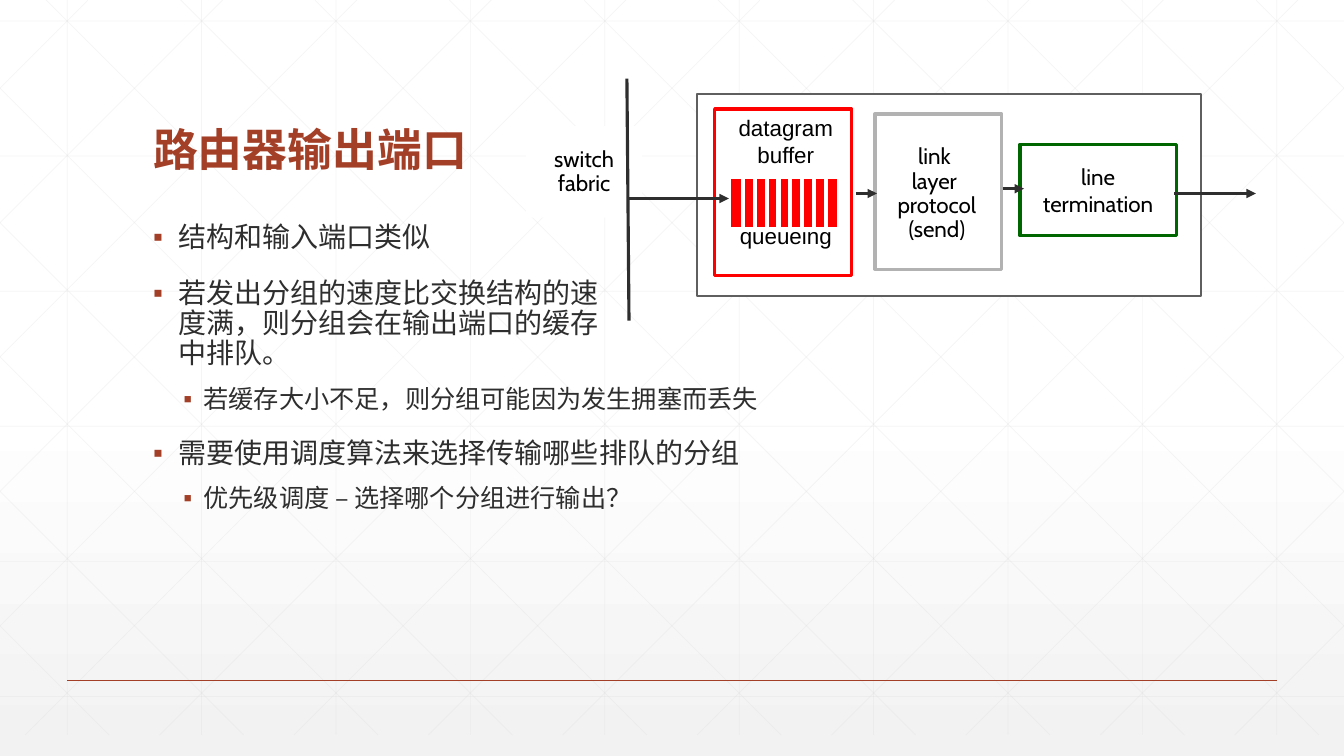
"""Build the slide about router output ports with its block diagram."""
from lxml import etree
from pptx import Presentation
from pptx.dml.color import RGBColor
from pptx.enum.shapes import MSO_CONNECTOR, MSO_SHAPE
from pptx.enum.text import MSO_ANCHOR, MSO_AUTO_SIZE, PP_ALIGN
from pptx.oxml.ns import qn
from pptx.util import Pt

STRAIGHT = MSO_CONNECTOR.STRAIGHT
RECTANGLE = MSO_SHAPE.RECTANGLE
TOP, MIDDLE, BOTTOM = MSO_ANCHOR.TOP, MSO_ANCHOR.MIDDLE, MSO_ANCHOR.BOTTOM
NO_AUTOFIT = MSO_AUTO_SIZE.NONE
CENTER, LEFT = PP_ALIGN.CENTER, PP_ALIGN.LEFT
WIDTH, HEIGHT, GRID_BOTTOM = 960, 540, 525
RUST, INK, GRID, WHITE, RED = "A43F27", "2D2E2D", "D9D9D9", "FFFFFF", "FF0000"
CJK_FONT = "Noto Sans CJK SC"
color = RGBColor.from_string

presentation = Presentation()
presentation.slide_width, presentation.slide_height = Pt(WIDTH), Pt(HEIGHT)
slide = presentation.slides.add_slide(presentation.slide_layouts[1])
shapes = slide.shapes
title, body = shapes.title, slide.placeholders[1]


def add_line(x1, y1, x2, y2, line_color=INK, width=2.25, arrow=False):
    line = shapes.add_connector(STRAIGHT, Pt(x1), Pt(y1), Pt(x2), Pt(y2))
    line.line.color.rgb = color(line_color)
    line.line.width = Pt(width)
    properties = line._element.spPr
    outline = properties.find(qn("a:ln"))
    if line_color == GRID:
        tint = outline.find(".//" + qn("a:srgbClr"))
        etree.SubElement(tint, qn("a:alpha"), val="25000")
    if arrow:
        etree.SubElement(outline, qn("a:tailEnd"), type="triangle")
    etree.SubElement(properties, qn("a:effectLst"))


def add_box(left, top, width, height, fill=WHITE, line_color=None, line_width=2.25,
            text="", font="Cabin", spacing=1.0, anchor=MIDDLE):
    box = shapes.add_shape(RECTANGLE, Pt(left), Pt(top), Pt(width), Pt(height))
    box.shadow.inherit = False
    box.fill.solid()
    box.fill.fore_color.rgb = color(fill)
    if line_color:
        box.line.color.rgb = color(line_color)
        box.line.width = Pt(line_width)
    else:
        box.line.fill.background()
    if text:
        frame = box.text_frame
        frame.text = text
        frame.word_wrap = False
        frame.vertical_anchor = anchor
        for paragraph in frame.paragraphs:
            paragraph.alignment = CENTER
            paragraph.line_spacing = spacing
            run_font = paragraph.runs[0].font
            run_font.name, run_font.size = font, Pt(16)
            run_font.color.rgb = color("000000")
    return box


background = slide.background.fill
background.gradient()
background.gradient_angle = 270
for stop, position, stop_color in zip(background.gradient_stops, (0.53, 1), (WHITE, "F2F2F2")):
    stop.position = position
    stop.color.rgb = color(stop_color)

for column in range(10):
    x = 48 + 96 * column
    add_line(x, 0, x, GRID_BOTTOM, GRID, 0.5)
for row in range(6):
    y = 15 + 96.5 * row
    add_line(0, y, WIDTH, y, GRID, 0.5)
for step in range(-5, 10):
    start = 33 + 96 * step
    top, bottom = max(0, -start), min(GRID_BOTTOM, WIDTH - start)
    add_line(start + top, top, start + bottom, bottom, GRID, 0.5)
    add_line(WIDTH - start - top, top, WIDTH - start - bottom, bottom, GRID, 0.5)
add_line(48, 486, 912, 486, RUST, 1)

BULLETS = [
    (0, "结构和输入端口类似"),
    (0, "若发出分组的速度比交换结构的速\v度满，则分组会在输出端口的缓存\v中排队。"),
    (1, "若缓存大小不足，则分组可能因为发生拥塞而丢失"),
    (0, "需要使用调度算法来选择传输哪些排队的分组"),
    (1, "优先级调度 – 选择哪个分组进行输出？"),
]
LEVELS = [(20, 18, 18, -18), (18, 12, 36, -14.4)]

title.text_frame.text = "路由器输出端口"
body.text_frame.text = "\n".join(text for level, text in BULLETS)
styled = [(title.text_frame.paragraphs[0], 32, RUST, True)]
for index, (paragraph, (level, text)) in enumerate(zip(body.text_frame.paragraphs, BULLETS)):
    size, space, margin, indent = LEVELS[level]
    paragraph.level = level
    paragraph.space_before = Pt(space if index else 0)
    properties = paragraph._p.get_or_add_pPr()
    properties.set("marL", str(Pt(margin)))
    properties.set("indent", str(Pt(indent)))
    bullet_color = etree.SubElement(properties, qn("a:buClr"))
    etree.SubElement(bullet_color, qn("a:srgbClr"), val=RUST)
    etree.SubElement(properties, qn("a:buFont"), typeface="Arial")
    etree.SubElement(properties, qn("a:buChar"), char="▪")
    styled.append((paragraph, size, INK, False))

for paragraph, size, text_color, bold in styled:
    paragraph.alignment = LEFT
    paragraph.line_spacing = 0.9
    for run in paragraph.runs:
        run.font.name, run.font.size, run.font.bold = CJK_FONT, Pt(size), bold
        run.font.color.rgb = color(text_color)
        etree.SubElement(run.font._element, qn("a:ea"), typeface=CJK_FONT)
    for line_break in paragraph._p.findall(qn("a:br")):
        etree.SubElement(line_break, qn("a:rPr"), sz=str(size * 100))

for placeholder, top, height, anchor in ((title, 39.6, 90, BOTTOM), (body, 156.2, 300, TOP)):
    placeholder.left, placeholder.top = Pt(102.2), Pt(top)
    placeholder.width, placeholder.height = Pt(756), Pt(height)
    placeholder.text_frame.auto_size = NO_AUTOFIT
    placeholder.text_frame.vertical_anchor = anchor
    shapes._spTree.append(placeholder._element)

add_box(498.2, 67, 360, 144.7, line_color="5F5F5F", line_width=1.5)
add_box(728.6, 103, 111.6, 65.5, line_color="006600", text="line\ntermination")
add_box(625, 81.4, 90.7, 110.9, line_color="B2B2B2")
add_line(611.3, 138.2, 626.4, 138.2, arrow=True)
add_line(716.4, 134.8, 731.5, 134.8, arrow=True)
add_line(838.8, 138.2, 897.1, 138.2, arrow=True)
add_box(627.8, 105.8, 82.8, 65.5, text="link \nlayer \nprotocol\n(send)", spacing=0.9)
add_box(375.8, 90, 82.8, 65.5, text="switch\nfabric", spacing=0.9)

buffer_box = add_box(510.5, 77.8, 97.9, 118.8, line_color=RED,
                     text="datagram\nbuffer\nqueueing", font="Arial", anchor=TOP)
buffer_box.text_frame.margin_left = Pt(10.8)
buffer_box.text_frame.paragraphs[2].space_before = Pt(39)
add_box(520.6, 126.7, 78.5, 36.7, fill=RED, line_color=WHITE, line_width=3)
for gap in range(8):
    x = 530.8 + 8.43 * gap
    add_line(x, 127.4, x, 162.7, WHITE, 3)

add_line(447.8, 56.2, 449.3, 229)
add_line(447.8, 141.8, 520.6, 141.8, arrow=True)

presentation.save("out.pptx")
